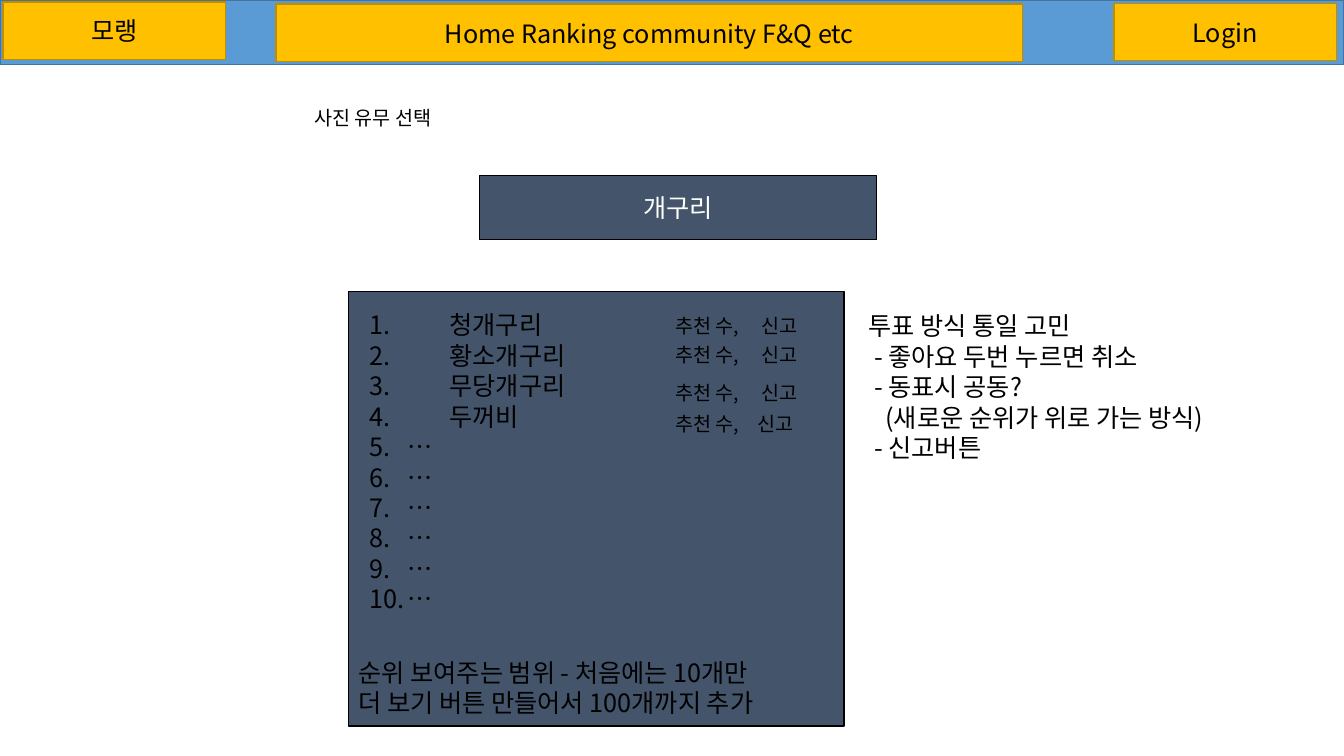
from typing import NamedTuple

from lxml import etree
from pptx import Presentation
from pptx.dml.color import RGBColor
from pptx.enum.shapes import MSO_SHAPE
from pptx.enum.text import MSO_ANCHOR, PP_ALIGN
from pptx.oxml.ns import qn
from pptx.util import Pt

RECT = MSO_SHAPE.RECTANGLE
MIDDLE = MSO_ANCHOR.MIDDLE
CENTER = PP_ALIGN.CENTER
FONT = "Noto Sans CJK KR"
COLORS = {
    "bar": "5B9BD5", "bar_line": "43739E",
    "button": "FFC000", "button_line": "BD8E00",
    "panel": "44546A", "black": "000000", "white": "FFFFFF",
}
LINE_HEIGHT = {18: 21.75, 14: 17.3}


class Box(NamedTuple):
    left: float
    top: float
    width: float
    height: float
    fill: str
    line: str
    text: str = ""
    color: str = "black"


class Line(NamedTuple):
    text: str
    margin: float = 0
    number_from: int = 0
    tab: float = 0


class Label(NamedTuple):
    left: float
    top: float
    width: float
    height: float
    lines: list[Line]
    size: int = 18


def rgb(name: str) -> RGBColor:
    return RGBColor.from_string(COLORS[name])


def style(p, size: int, color: str = "black") -> None:
    p.line_spacing = Pt(LINE_HEIGHT[size])
    for r in p.runs:
        r.font.size = Pt(size)
        r.font.name = FONT
        r.font.color.rgb = rgb(color)
        etree.SubElement(r.font._element, qn("a:ea"), typeface=FONT)


def add_box(s, box: Box) -> None:
    sp = s.shapes.add_shape(RECT, Pt(box.left), Pt(box.top), Pt(box.width), Pt(box.height))
    sp.shadow.inherit = False
    sp.fill.solid()
    sp.fill.fore_color.rgb = rgb(box.fill)
    sp.line.color.rgb = rgb(box.line)
    sp.line.width = Pt(1)
    if box.text:
        tf = sp.text_frame
        tf.text = box.text
        tf.vertical_anchor = MIDDLE
        p = tf.paragraphs[0]
        p.alignment = CENTER
        style(p, 18, box.color)


def add_label(s, label: Label) -> None:
    sp = s.shapes.add_textbox(Pt(label.left), Pt(label.top), Pt(label.width), Pt(label.height))
    tf = sp.text_frame
    tf.word_wrap = True
    tf.text = "\n".join(line.text for line in label.lines)
    for p, line in zip(tf.paragraphs, label.lines):
        pPr = p._p.get_or_add_pPr()
        if line.margin:
            pPr.set("marL", str(Pt(line.margin)))
        if line.number_from:
            pPr.set("indent", str(-Pt(line.margin)))
            etree.SubElement(pPr, qn("a:buFont"), typeface="+mj-lt")
            etree.SubElement(pPr, qn("a:buAutoNum"), type="arabicPeriod",
                             startAt=str(line.number_from))
        if line.tab:
            tabs = etree.SubElement(pPr, qn("a:tabLst"))
            etree.SubElement(tabs, qn("a:tab"), pos=str(Pt(line.tab)), algn="l")
        style(p, label.size)


# Header bar, its buttons, the topic title and the ranking panel
BOXES = [
    Box(0, 0, 960, 46, "bar", "bar_line"),
    Box(795.6, 2.4, 159, 41, "button", "button_line", "Login"),
    Box(197, 3, 533.5, 41, "button", "button_line", "Home Ranking community F&Q etc"),
    Box(2.2, 1.4, 159, 41, "button", "button_line", "모랭"),
    Box(342.5, 125.3, 283.7, 46, "panel", "black", "개구리", "white"),
    Box(249, 208.3, 353.8, 310.3, "panel", "black"),
]

# Ranking: named entries are indented further than the open places
NAMES = ["청개구리", "황소개구리", "무당개구리", "두꺼비"]
RANKING = [Line(name, 57, 1) for name in NAMES]
RANKING += [Line("…", 27, len(NAMES) + 1)] * (10 - len(NAMES))

LABELS = [
    Label(257, 217.5, 340, 225.4, RANKING),
    Label(613.4, 218.2, 302.4, 116.6, [
        Line("투표 방식 통일 고민"),
        Line("- 좋아요 두번 누르면 취소", 4),
        Line("- 동표시 공동?", 4),
        Line("(새로운 순위가 위로 가는 방식)", 12),
        Line("- 신고버튼", 4),
    ]),
    Label(249, 465.8, 352.8, 51, [
        Line("순위 보여주는 범위 - 처음에는 10개만"),
        Line("더 보기 버튼 만들어서 100개까지 추가"),
    ]),
    Label(217.4, 71.3, 302.4, 24.5, [Line("사진 유무 선택")], 14),
]

# Vote count and report link beside each named entry: top and tab position
VOTES = [(220.3, 62), (241.2, 62), (267.8, 62), (290.2, 59)]
LABELS += [Label(475.2, top, 125, 24.5, [Line("추천 수,\t신고", tab=tab)], 14)
           for top, tab in VOTES]


def main() -> None:
    prs = Presentation()
    prs.slide_width, prs.slide_height = Pt(960), Pt(540)
    s = prs.slides.add_slide(prs.slide_layouts[6])
    for box in BOXES:
        add_box(s, box)
    for label in LABELS:
        add_label(s, label)
    prs.save("out.pptx")


if __name__ == "__main__":
    main()
